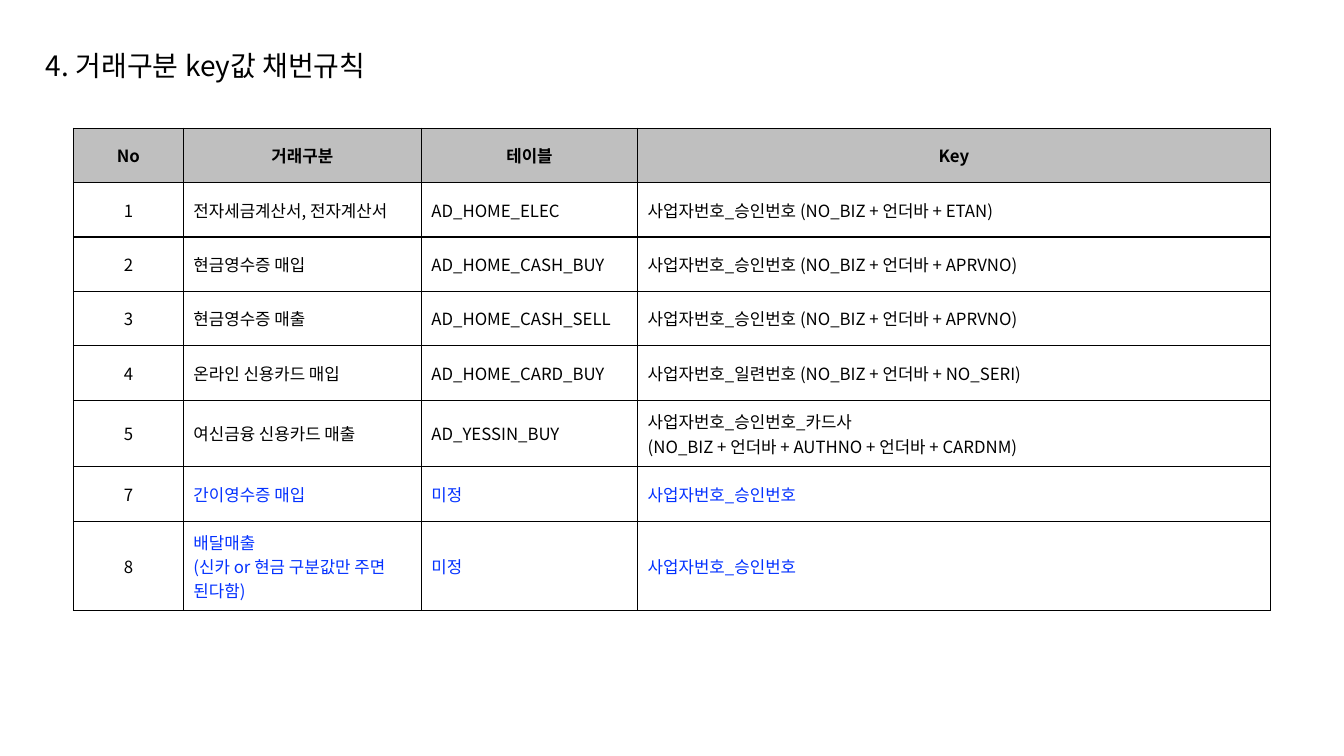
from pptx import Presentation
from pptx.dml.color import RGBColor
from pptx.enum.text import MSO_ANCHOR, MSO_AUTO_SIZE, PP_ALIGN
from pptx.oxml import parse_xml
from pptx.oxml.ns import nsdecls
from pptx.util import Pt

BLACK = RGBColor(0x00, 0x00, 0x00)
BLUE = RGBColor(0x04, 0x32, 0xFF)
GREY = RGBColor(0xBF, 0xBF, 0xBF)
FONT = "Noto Sans CJK KR"

TITLE = "4. 거래구분 key값 채번규칙"
HEADER = ("No", "거래구분", "테이블", "Key")
RULES = [
    ("1", "전자세금계산서, 전자계산서", "AD_HOME_ELEC",
     "사업자번호_승인번호 (NO_BIZ + 언더바 + ETAN)"),
    ("2", "현금영수증 매입", "AD_HOME_CASH_BUY",
     "사업자번호_승인번호 (NO_BIZ + 언더바 + APRVNO)"),
    ("3", "현금영수증 매출", "AD_HOME_CASH_SELL",
     "사업자번호_승인번호 (NO_BIZ + 언더바 + APRVNO)"),
    ("4", "온라인 신용카드 매입", "AD_HOME_CARD_BUY",
     "사업자번호_일련번호 (NO_BIZ + 언더바 + NO_SERI)"),
    ("5", "여신금융 신용카드 매출", "AD_YESSIN_BUY",
     "사업자번호_승인번호_카드사\n"
     "(NO_BIZ + 언더바 + AUTHNO + 언더바 + CARDNM)"),
    ("7", "간이영수증 매입", "미정", "사업자번호_승인번호"),
    ("8", "배달매출\n(신카 or 현금 구분값만 주면 된다함)", "미정",
     "사업자번호_승인번호"),
]
UNDECIDED = "미정"
COL_WIDTHS = (78.5, 170, 154.5, 452)
ROW_HEIGHT = 38.9
TALL_ROWS = {5: 47.5, 7: 64}


def set_attrs(obj, **values):
    for name, value in values.items():
        setattr(obj, name, value)


def write(tf, text, size, color=BLACK, bold=False, align=PP_ALIGN.LEFT):
    """Fill a text frame, one paragraph per line of text."""
    tf.text = text
    for p in tf.paragraphs:
        p.alignment = align
        for r in p.runs:
            set_attrs(r.font, name=FONT, size=Pt(size), bold=bold)
            r.font.color.rgb = color
            r.font._element.append(
                parse_xml(f'<a:ea {nsdecls("a")} typeface="{FONT}"/>'))


def add_borders(cell, width=1):
    tcPr = cell._tc.get_or_add_tcPr()
    for i, side in enumerate(("lnL", "lnR", "lnT", "lnB")):
        tcPr.insert(i, parse_xml(
            f'<a:{side} {nsdecls("a")} w="{Pt(width)}"><a:solidFill>'
            f'<a:srgbClr val="{BLACK}"/></a:solidFill></a:{side}>'))


def add_title(s, left, top, width, height):
    sp = s.shapes.title
    set_attrs(sp, left=Pt(left), top=Pt(top), width=Pt(width), height=Pt(height))
    tf = sp.text_frame
    set_attrs(tf, auto_size=MSO_AUTO_SIZE.NONE, word_wrap=True,
              vertical_anchor=MSO_ANCHOR.MIDDLE)
    write(tf, TITLE, 20)


def add_rule_table(s, left, top):
    rows = [HEADER, *RULES]
    heights = [TALL_ROWS.get(i, ROW_HEIGHT) for i in range(len(rows))]
    table = s.shapes.add_table(
        len(rows), len(HEADER), Pt(left), Pt(top),
        Pt(sum(COL_WIDTHS)), Pt(sum(heights))).table
    set_attrs(table, first_row=False, horz_banding=False)
    for column, width in zip(table.columns, COL_WIDTHS):
        column.width = Pt(width)

    for i, (row, height) in enumerate(zip(rows, heights)):
        table.rows[i].height = Pt(height)
        for j, text in enumerate(row):
            cell = table.cell(i, j)
            cell.vertical_anchor = MSO_ANCHOR.MIDDLE
            # Grey header, blue text for rows whose table is undecided
            if i == 0:
                cell.fill.solid()
                cell.fill.fore_color.rgb = GREY
            else:
                cell.fill.background()
            write(cell.text_frame, text, 12,
                  color=BLUE if j and UNDECIDED in row else BLACK,
                  bold=i == 0,
                  align=PP_ALIGN.CENTER if i == 0 or j == 0 else PP_ALIGN.LEFT)
            add_borders(cell)


prs = Presentation()
set_attrs(prs, slide_width=Pt(960), slide_height=Pt(540))
s = prs.slides.add_slide(prs.slide_layouts[5])
add_title(s, 25.6, 31, 324, 31.5)
add_rule_table(s, 52.5, 91.5)
prs.save("out.pptx")
